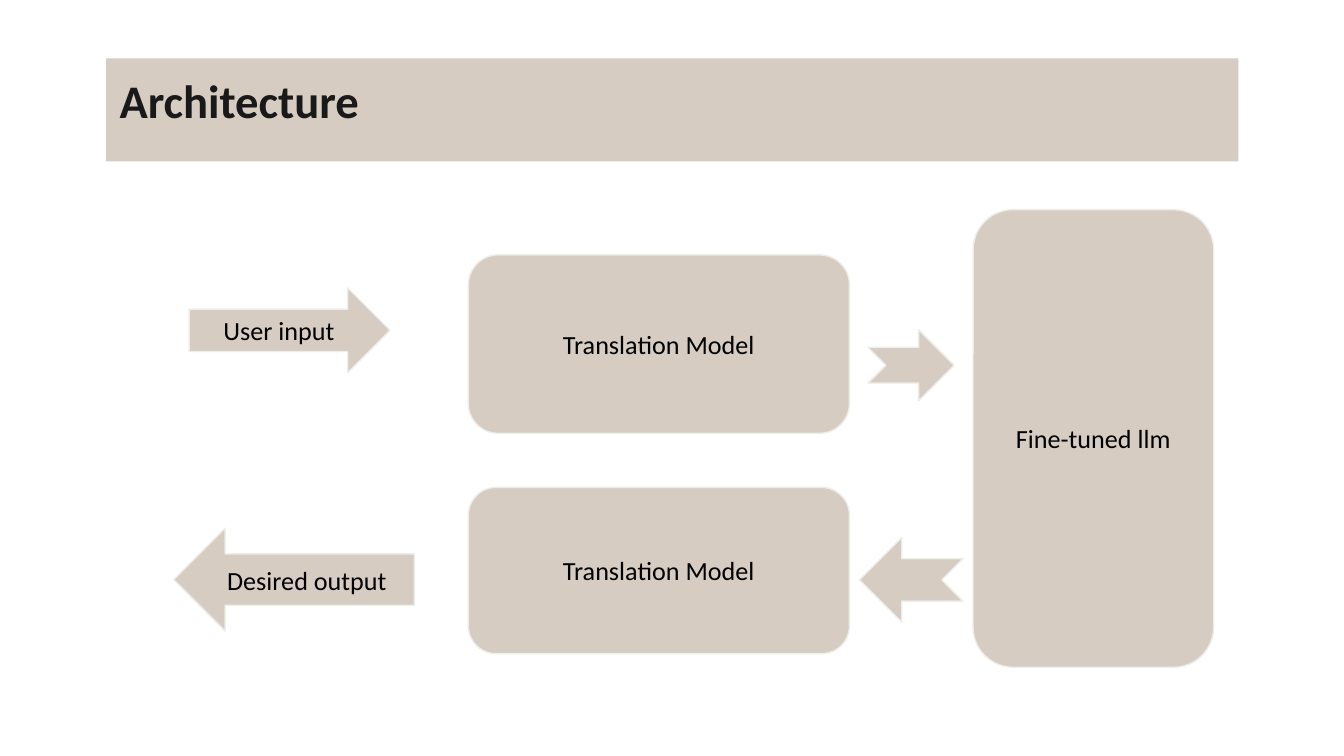
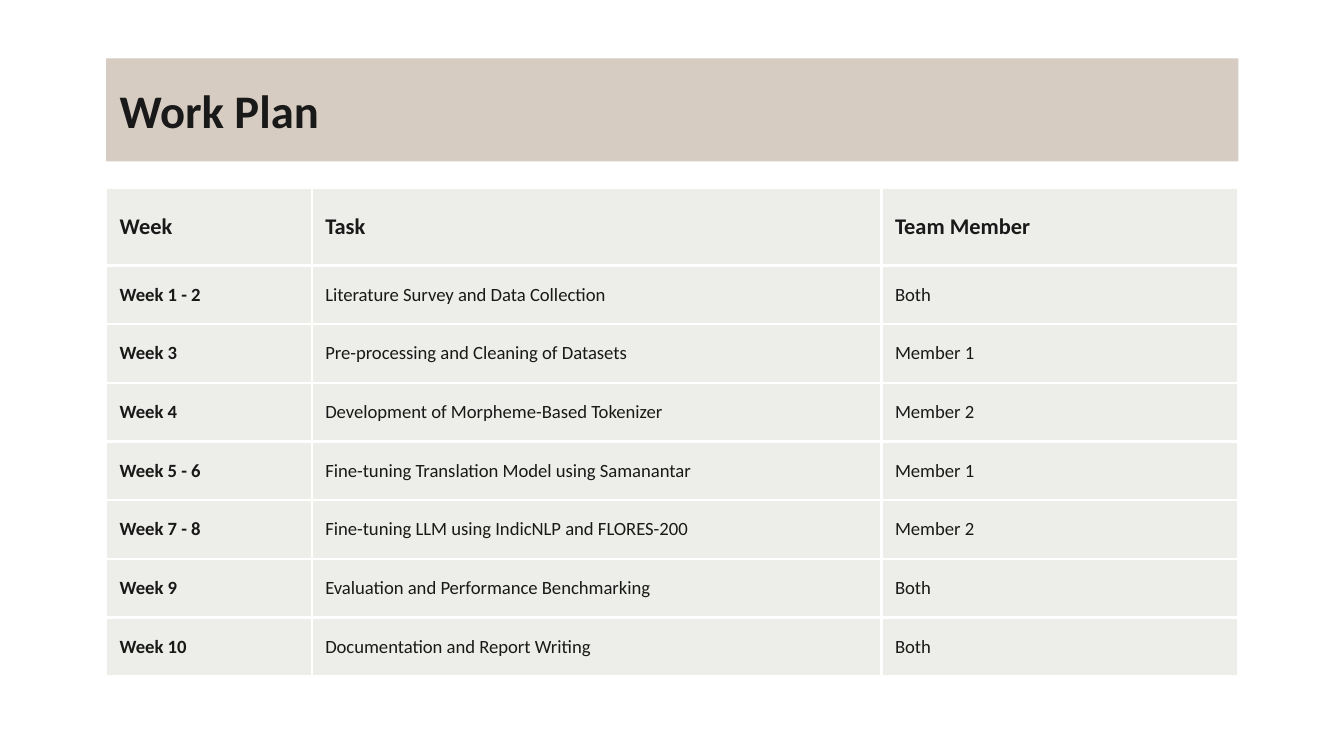
from dataclasses import dataclass

from lxml.etree import SubElement
from pptx import Presentation
from pptx.dml.color import RGBColor
from pptx.enum.shapes import MSO_SHAPE as Preset
from pptx.enum.text import MSO_ANCHOR as Anchor
from pptx.enum.text import MSO_AUTO_SIZE as AutoSize
from pptx.enum.text import PP_ALIGN as Align
from pptx.oxml.ns import qn
from pptx.util import Inches, Length, Pt

COLUMNS, ROWS = 100, 56.25
SAND, MIST, INK, BLACK, WHITE = "D6CCC2", "EDEDE9", "191919", "000000", "FFFFFF"
FONT = "Calibri"
MARGIN_LEFT = 7.9
TITLE_ONLY_LAYOUT = 5


@dataclass(frozen=True)
class Area:
    """A rectangle in grid columns and rows."""

    column: float
    row: float
    width: float
    height: float

    def lengths(self) -> tuple[Length, ...]:
        """Return left, top, width and height as lengths."""
        return tuple(map(grid, (self.column, self.row, self.width, self.height)))


@dataclass(frozen=True)
class Node:
    """One block or arrow of the architecture flow."""

    preset: Preset
    area: Area
    label: str = ""
    rotation: float = 0


TITLE_AREA = Area(MARGIN_LEFT, 4.35, 84.25, 7.67)
MODEL_COLUMN, MODEL_WIDTH = 34.85, 28.35

NODES = (
    Node(Preset.RIGHT_ARROW, Area(14.07, 21.43, 14.95, 6.3), "User input"),
    Node(Preset.ROUNDED_RECTANGLE, Area(MODEL_COLUMN, 18.97, MODEL_WIDTH, 13.27), "Translation Model"),
    Node(Preset.ROUNDED_RECTANGLE, Area(72.4, 15.6, 17.9, 34.05), "Fine-tuned llm"),
    Node(Preset.ROUNDED_RECTANGLE, Area(MODEL_COLUMN, 36.27, MODEL_WIDTH, 12.37), "Translation Model"),
    Node(Preset.LEFT_ARROW, Area(12.93, 39.3, 17.9, 7.65), "Desired output"),
    Node(Preset.NOTCHED_RIGHT_ARROW, Area(64.6, 24.53, 6.4, 5.3)),
    Node(Preset.NOTCHED_RIGHT_ARROW, Area(63.95, 40, 7.7, 6.3), rotation=180),
)

PLAN = (
    ("Week", "Task", "Team Member"),
    ("Week 1 - 2", "Literature Survey and Data Collection", "Both"),
    ("Week 3", "Pre-processing and Cleaning of Datasets", "Member 1"),
    ("Week 4", "Development of Morpheme-Based Tokenizer", "Member 2"),
    ("Week 5 - 6", "Fine-tuning Translation Model using Samanantar", "Member 1"),
    ("Week 7 - 8", "Fine-tuning LLM using IndicNLP and FLORES-200", "Member 2"),
    ("Week 9", "Evaluation and Performance Benchmarking", "Both"),
    ("Week 10", "Documentation and Report Writing", "Both"),
)
PLAN_WIDTHS = (15.3, 42.4, 26.5)
HEADER_HEIGHT, ROW_HEIGHT = 5.75, 4.37


def grid(cells: float) -> Length:
    """Convert grid cells to a length."""
    return Inches(cells / 10)


def paint(target, color: str) -> None:
    """Give a shape, line or table cell a solid fill."""
    target.fill.solid()
    target.fill.fore_color.rgb = RGBColor.from_string(color)


def write(frame, text: str, *, size: float, color: str = INK, bold: bool = False,
          align: Align = Align.LEFT) -> None:
    """Write one formatted paragraph into a text frame."""
    frame.word_wrap = True
    paragraph = frame.paragraphs[0]
    paragraph.alignment = align
    run = paragraph.add_run()
    run.text = text
    run.font.name, run.font.size, run.font.bold = FONT, Pt(size), bold
    run.font.color.rgb = RGBColor.from_string(color)


def set_insets(box, horizontal: float, vertical: float) -> None:
    """Set equal side and equal top and bottom margins in grid cells."""
    box.margin_left = box.margin_right = grid(horizontal)
    box.margin_top = box.margin_bottom = grid(vertical)


def add_titled_slide(presentation, title: str, anchor: Anchor):
    """Add a slide with the shared title band."""
    slide = presentation.slides.add_slide(presentation.slide_layouts[TITLE_ONLY_LAYOUT])
    band = slide.shapes.title
    band.left, band.top, band.width, band.height = TITLE_AREA.lengths()
    paint(band, SAND)
    frame = band.text_frame
    frame.auto_size = AutoSize.NONE
    frame.vertical_anchor = anchor
    set_insets(frame, 1, 1)
    write(frame, title, size=25, bold=True)
    return slide


def add_node(slide, node: Node) -> None:
    """Draw one block or arrow of the flow."""
    shape = slide.shapes.add_shape(node.preset, *node.area.lengths())
    shape.shadow.inherit = False
    shape.rotation = node.rotation
    paint(shape, SAND)
    paint(shape.line, MIST)
    shape.line.width = Pt(0.75)
    if node.label:
        frame = shape.text_frame
        frame.vertical_anchor = Anchor.MIDDLE
        set_insets(frame, 1, 1)
        write(frame, node.label, size=14, color=BLACK, align=Align.CENTER)


def add_borders(cell, color: str, width: float) -> None:
    """Draw a solid border on all four sides of a cell."""
    properties = cell._tc.get_or_add_tcPr()
    for position, side in enumerate(("a:lnL", "a:lnR", "a:lnT", "a:lnB")):
        line = SubElement(properties, qn(side), w=str(Pt(width)))
        fill = SubElement(line, qn("a:solidFill"))
        SubElement(fill, qn("a:srgbClr"), val=color)
        properties.insert(position, line)


def add_plan(slide) -> None:
    """Add the week by week table."""
    area = Area(MARGIN_LEFT, 14, sum(PLAN_WIDTHS), HEADER_HEIGHT + ROW_HEIGHT * (len(PLAN) - 1))
    table = slide.shapes.add_table(len(PLAN), len(PLAN_WIDTHS), *area.lengths()).table
    table.first_row = table.horz_banding = False
    for column, width in zip(table.columns, PLAN_WIDTHS):
        column.width = grid(width)
    for row_index, (row, texts) in enumerate(zip(table.rows, PLAN)):
        header = row_index == 0
        row.height = grid(HEADER_HEIGHT if header else ROW_HEIGHT)
        for column_index, (cell, text) in enumerate(zip(row.cells, texts)):
            paint(cell, MIST)
            add_borders(cell, WHITE, 1.5)
            cell.vertical_anchor = Anchor.MIDDLE
            set_insets(cell, 1, 0.5 if header else 0)
            write(cell.text_frame, text, size=12 if header else 10,
                  bold=header or column_index == 0)


def main() -> None:
    """Build and save both slides."""
    presentation = Presentation()
    presentation.slide_width, presentation.slide_height = grid(COLUMNS), grid(ROWS)
    architecture = add_titled_slide(presentation, "Architecture", Anchor.TOP)
    for node in NODES:
        add_node(architecture, node)
    add_plan(add_titled_slide(presentation, "Work Plan", Anchor.MIDDLE))
    presentation.save("out.pptx")


if __name__ == "__main__":
    main()
